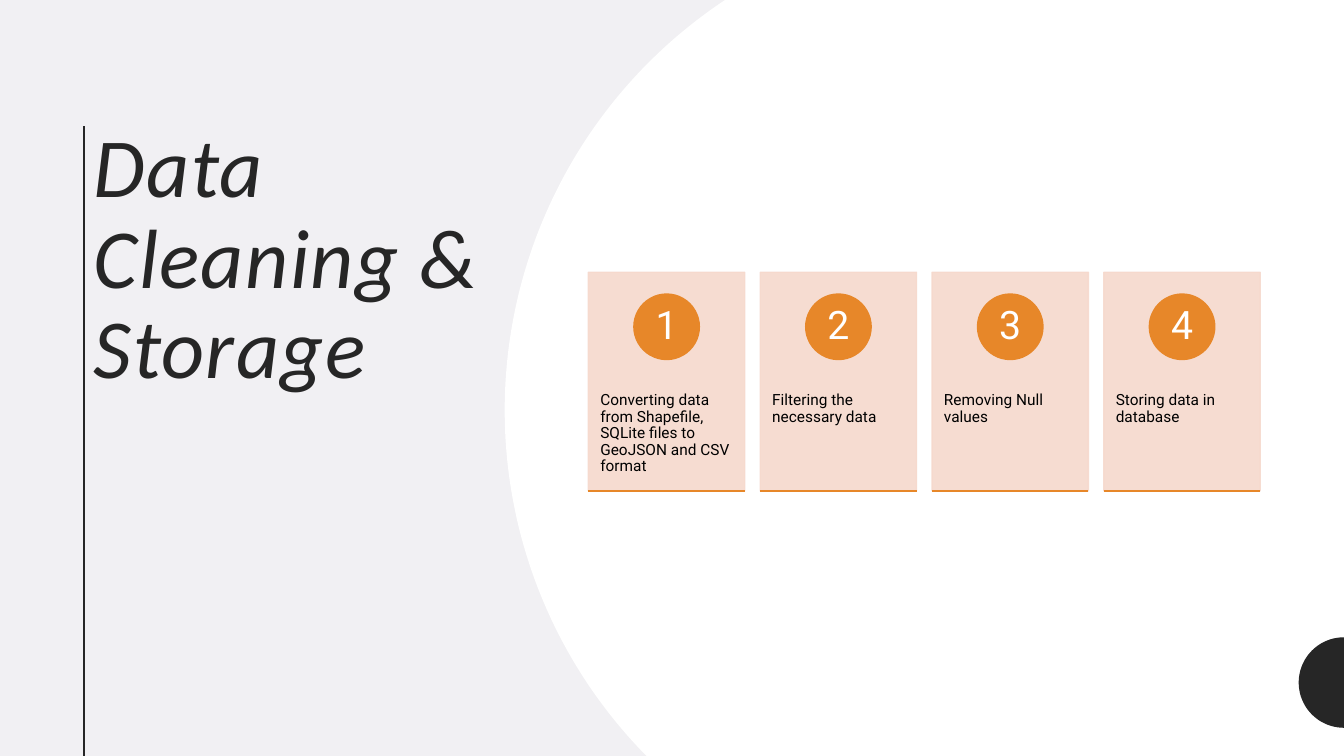
import math
from dataclasses import dataclass

from lxml import etree
from pptx import Presentation
from pptx.dml.color import RGBColor
from pptx.enum.shapes import MSO_CONNECTOR, MSO_SHAPE
from pptx.enum.text import MSO_ANCHOR, MSO_AUTO_SIZE, PP_ALIGN
from pptx.oxml.ns import qn
from pptx.util import Cm, Pt

RECTANGLE, OVAL = MSO_SHAPE.RECTANGLE, MSO_SHAPE.OVAL
STRAIGHT = MSO_CONNECTOR.STRAIGHT
TOP, MIDDLE = MSO_ANCHOR.TOP, MSO_ANCHOR.MIDDLE
LEFT, CENTER = PP_ALIGN.LEFT, PP_ALIGN.CENTER
NO_AUTOFIT = MSO_AUTO_SIZE.NONE

SLIDE_WIDTH, SLIDE_HEIGHT = 33.87, 19.05
STEPS = [
    "Converting data from Shapefile, SQLite files to GeoJSON and CSV format",
    "Filtering the necessary data",
    "Removing Null values",
    "Storing data in database",
]


@dataclass(frozen=True)
class Theme:
    backdrop: RGBColor = RGBColor.from_string("F1F0F3")
    ink: RGBColor = RGBColor.from_string("262626")
    white: RGBColor = RGBColor.from_string("FFFFFF")
    black: RGBColor = RGBColor.from_string("000000")
    card: RGBColor = RGBColor.from_string("F6D9CD")
    accent: RGBColor = RGBColor.from_string("E78729")
    card_opacity: int = 90
    heading_font: str = "Calibri"
    body_font: str = "Roboto"
    title_size: int = 60
    number_size: int = 28
    step_size: int = 11
    line_spacing: float = 0.9


THEME = Theme()


def apply(target, values):
    for attribute, value in values.items():
        setattr(target, attribute, value)


def write(shape, text, color, frame_format, paragraph_format, font_format):
    frame = shape.text_frame
    apply(frame, {"word_wrap": True, "auto_size": NO_AUTOFIT, **frame_format})
    frame.text = text
    paragraph = frame.paragraphs[0]
    apply(paragraph, {"line_spacing": THEME.line_spacing, **paragraph_format})
    run = paragraph.runs[0]
    apply(run.font, font_format)
    run.font.color.rgb = color
    return run


def paint(shape, color, outlined=True):
    shape.shadow.inherit = False
    shape.fill.solid()
    shape.fill.fore_color.rgb = color
    if outlined:
        shape.line.color.rgb = color
        shape.line.width = Pt(1)
    else:
        shape.line.fill.background()


def make_translucent(shape, percent):
    for color in shape.element.spPr.iter(qn("a:srgbClr")):
        etree.SubElement(color, qn("a:alpha")).set("val", str(percent * 1000))


def add_rule(slide, start, end, color, width):
    rule = slide.shapes.add_connector(STRAIGHT, *map(Cm, (*start, *end)))
    rule.line.color.rgb = color
    rule.line.width = Pt(width)
    etree.SubElement(rule.element.spPr, qn("a:effectLst"))


def add_cropped_disc(slide, center_x, center_y, radius, color, segments=120):
    top = max(0, center_y - radius)
    bottom = min(SLIDE_HEIGHT, center_y + radius)
    first, last = (
        math.asin(max(-1, min(1, (edge - center_y) / radius)))
        for edge in (top, bottom)
    )
    angles = [first + (last - first) * i / segments for i in range(segments + 1)]
    arc = [
        (Cm(center_x - radius * math.cos(a)), Cm(center_y + radius * math.sin(a)))
        for a in angles
    ]
    builder = slide.shapes.build_freeform(Cm(SLIDE_WIDTH), Cm(top))
    builder.add_line_segments([*arc, (Cm(SLIDE_WIDTH), Cm(bottom))], close=True)
    paint(builder.convert_to_shape(), color, outlined=False)


def add_heading(slide, left, top, width, height):
    title = slide.shapes.title
    apply(title, {"left": Cm(left), "top": Cm(top),
                  "width": Cm(width), "height": Cm(height)})
    run = write(
        title, "Data Cleaning & Storage", THEME.ink,
        {"vertical_anchor": TOP},
        {"alignment": LEFT},
        {"name": THEME.heading_font, "size": Pt(THEME.title_size), "italic": True},
    )
    run.font._element.set("spc", "100")
    add_rule(slide, (left, top + 0.16), (left, SLIDE_HEIGHT), THEME.ink, 1.5)


def add_step_card(slide, left, top, width, height, number, description):
    card = slide.shapes.add_shape(RECTANGLE, *map(Cm, (left, top, width, height)))
    paint(card, THEME.card)
    make_translucent(card, THEME.card_opacity)

    text_offset, text_height = 2.11, 3.3
    step = slide.shapes.add_textbox(
        *map(Cm, (left, top + text_offset, width, text_height)))
    write(
        step, description, THEME.black,
        {"vertical_anchor": TOP, "margin_left": Cm(0.3), "margin_right": Cm(0.3),
         "margin_top": Cm(0.91), "margin_bottom": Cm(0.91)},
        {"alignment": LEFT},
        {"name": THEME.body_font, "size": Pt(THEME.step_size)},
    )

    diameter = 1.65
    badge = slide.shapes.add_shape(
        OVAL, Cm(left + (width - diameter) / 2), Cm(top + 0.55),
        Cm(diameter), Cm(diameter))
    paint(badge, THEME.accent)
    write(
        badge, str(number), THEME.white,
        {"vertical_anchor": MIDDLE, "margin_left": Cm(0.13),
         "margin_right": Cm(0.13), "margin_top": Cm(0.03),
         "margin_bottom": Cm(0.03)},
        {"alignment": CENTER},
        {"name": THEME.body_font, "size": Pt(THEME.number_size)},
    )

    bottom = top + height
    add_rule(slide, (left, bottom), (left + width, bottom), THEME.accent, 1)


def add_steps(slide, left, top, width, height, gap=0.39):
    card_width = (width - gap * (len(STEPS) - 1)) / len(STEPS)
    for index, description in enumerate(STEPS):
        card_left = left + index * (card_width + gap)
        add_step_card(slide, card_left, top, card_width, height,
                      index + 1, description)


def main():
    deck = Presentation()
    apply(deck, {"slide_width": Cm(SLIDE_WIDTH), "slide_height": Cm(SLIDE_HEIGHT)})
    slide = deck.slides.add_slide(deck.slide_layouts.get_by_name("Title Only"))
    slide.background.fill.solid()
    slide.background.fill.fore_color.rgb = THEME.backdrop

    add_heading(slide, 2.11, 3.02, 12.47, 13.36)
    add_cropped_disc(slide, 25.12, 10.34, 12.4, THEME.white)
    add_cropped_disc(slide, SLIDE_WIDTH, 17.2, 1.14, THEME.ink)
    add_steps(slide, 14.83, 6.86, 16.93, 5.51)
    deck.save("out.pptx")


if __name__ == "__main__":
    main()
